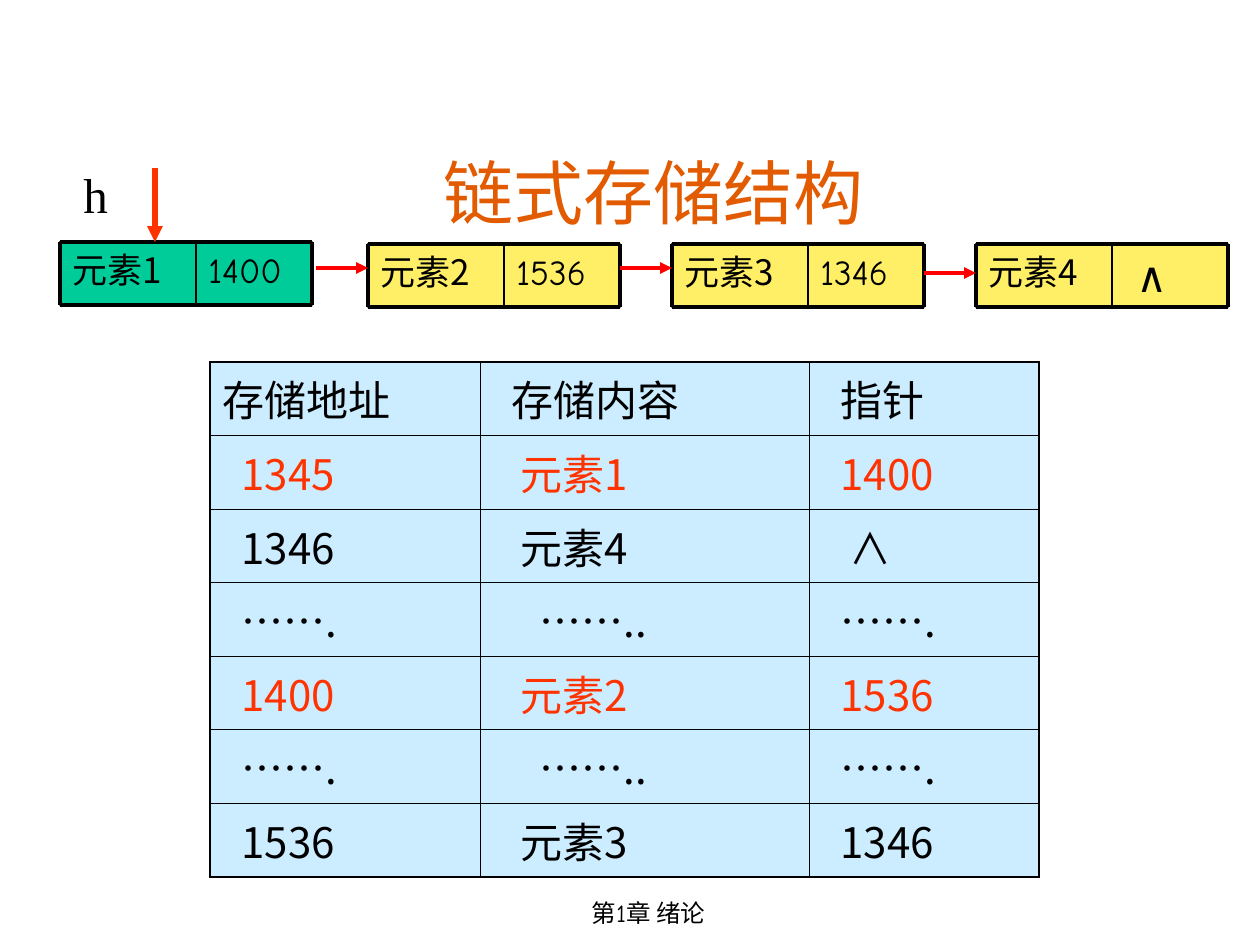
from dataclasses import dataclass

from lxml.etree import SubElement
from pptx import Presentation
from pptx.dml.color import RGBColor
from pptx.enum.shapes import MSO_CONNECTOR, MSO_SHAPE
from pptx.enum.text import MSO_ANCHOR, PP_ALIGN
from pptx.oxml.ns import qn
from pptx.util import Pt

EMU_PER_PX = 914400 / 126


@dataclass(frozen=True)
class Theme:
    ink: str = "000000"
    title: str = "E25B00"
    accent: str = "FF3300"
    link: str = "FF0000"
    head_node: str = "00CC99"
    node: str = "FFEF66"
    cell: str = "CCECFF"
    hand: str = "Comic Neue"
    sans: str = "Noto Sans CJK SC"
    serif: str = "Times New Roman"
    title_size: int = 40
    pointer_size: int = 28
    table_size: int = 24
    node_size: int = 20
    footer_size: int = 14


THEME = Theme()


def px(length):
    return round(length * EMU_PER_PX)


def place(box):
    return [px(length) for length in box]


def write(frame, text, size, face=THEME.sans, east=THEME.sans, color=THEME.ink,
          align=PP_ALIGN.LEFT, indent=0):
    para = frame.paragraphs[0]
    para.alignment = align
    if indent:
        properties = para._p.get_or_add_pPr()
        properties.set("marL", str(px(indent)))
        properties.set("indent", "0")
    span = para.add_run()
    span.text = text
    span.font.size = Pt(size)
    span.font.name = face
    span.font.color.rgb = RGBColor.from_string(color)
    SubElement(span._r.get_or_add_rPr(), qn("a:ea"), typeface=east)


def add_line(page, start, end, color, width, arrow=False):
    line = page.shapes.add_connector(MSO_CONNECTOR.STRAIGHT, *place(start + end))
    line.line.color.rgb = RGBColor.from_string(color)
    line.line.width = Pt(width)
    if arrow:
        SubElement(line.line._get_or_add_ln(), qn("a:tailEnd"), type="triangle")
    SubElement(line._element.spPr, qn("a:effectLst"))


def add_label(page, box, text, size, wrap=True, **style):
    label = page.shapes.add_textbox(*place(box))
    label.text_frame.word_wrap = wrap
    write(label.text_frame, text, size, **style)


def add_field(page, box, fill, text, size, **style):
    field = page.shapes.add_shape(MSO_SHAPE.RECTANGLE, *place(box))
    field.shadow.inherit = False
    field.fill.solid()
    field.fill.fore_color.rgb = RGBColor.from_string(fill)
    field.line.color.rgb = RGBColor.from_string(THEME.ink)
    field.line.width = Pt(0.75)
    field.text_frame.word_wrap = False
    field.text_frame.vertical_anchor = MSO_ANCHOR.TOP
    write(field.text_frame, text, size, **style)


def add_node(page, box, fill, element, pointer):
    left, top, width, height = box
    divider, right, bottom = left + 136, left + width, top + height
    last = pointer == "∧"
    add_field(page, (divider, top, right - divider, height), fill, pointer,
              THEME.table_size if last else THEME.node_size, face=THEME.hand,
              east=THEME.hand, indent=12 if last else 0)
    add_field(page, (left, top, divider - left, height), fill, element, THEME.node_size)
    for y in (top, bottom):
        add_line(page, (left, y), (right, y), THEME.ink, 2.25)
    for x, weight in ((left, 2.25), (divider, 1), (right, 2.25)):
        add_line(page, (x, top), (x, bottom), THEME.ink, weight)


def add_chain(page, box):
    left, top, width, height = box
    add_node(page, (left, top, 252, height), THEME.head_node, "元素1", "1400")
    followers = [("元素2", "1536"), ("元素3", "1346"), ("元素4", "∧")]
    for index, (element, pointer) in enumerate(followers):
        node_left = left + 308 + 304 * index
        add_node(page, (node_left, top + 2, 252, height), THEME.node, element, pointer)
        link_y = top + (31 if pointer == "∧" else 26)
        add_line(page, (node_left - 52, link_y), (node_left, link_y),
                 THEME.link, 2.25, arrow=True)
    add_label(page, (left + 11, top - 84, 49, 72), "h", THEME.pointer_size,
              wrap=False, face=THEME.serif)
    add_line(page, (left + 95, top - 74), (left + 95, top), THEME.accent, 3, arrow=True)


def set_borders(cell, outer):
    properties = cell._tc.get_or_add_tcPr()
    for side in "LRTB":
        weight = 1.08 if side in outer else 0.45
        border = SubElement(properties, qn(f"a:ln{side}"), w=str(Pt(weight)))
        fill = SubElement(border, qn("a:solidFill"))
        SubElement(fill, qn("a:srgbClr"), val=THEME.ink)


def add_memory_table(page, box):
    rows = [
        ("存储地址", "存储内容", "指针"),
        ("1345", "元素1", "1400"),
        ("1346", "元素4", "∧"),
        ("…….", "……..", "……."),
        ("1400", "元素2", "1536"),
        ("…….", "……..", "……."),
        ("1536", "元素3", "1346"),
    ]
    highlighted = (1, 4)
    indents = {"存储地址": 0, "∧": 28, "……..": 47}
    table = page.shapes.add_table(len(rows), 3, *place(box)).table
    table.first_row = table.horz_banding = False
    for column, width in zip(table.columns, (270, 329, 230)):
        column.width = px(width)
    for r, values in enumerate(rows):
        table.rows[r].height = px(box[3] / len(rows))
        for c, text in enumerate(values):
            cell = table.cell(r, c)
            edges = {"L": c == 0, "R": c == 2, "T": r == 0, "B": r == len(rows) - 1}
            set_borders(cell, [side for side, outside in edges.items() if outside])
            cell.fill.solid()
            cell.fill.fore_color.rgb = RGBColor.from_string(THEME.cell)
            base = 28 if text.startswith("元素") else 19
            write(cell.text_frame, text, THEME.table_size,
                  color=THEME.accent if r in highlighted else THEME.ink,
                  indent=indents.get(text, base))


def add_title(page, box, text):
    title = page.shapes.title
    title.left, title.top, title.width, title.height = place(box)
    title.text_frame.vertical_anchor = MSO_ANCHOR.BOTTOM
    write(title.text_frame, text, THEME.title_size, face=THEME.hand,
          color=THEME.title, align=PP_ALIGN.CENTER)


def main():
    deck = Presentation()
    deck.slide_width, deck.slide_height = px(1260), px(945)
    page = deck.slides.add_slide(deck.slide_layouts[5])
    add_label(page, (449, 892, 399, 63), "第1章 绪论", THEME.footer_size,
              face=THEME.hand, align=PP_ALIGN.CENTER)
    add_chain(page, (60, 242, 1168, 63))
    add_memory_table(page, (210, 362, 829, 515))
    add_title(page, (113, 135, 1081, 105), "链式存储结构")
    deck.save("out.pptx")


if __name__ == "__main__":
    main()
